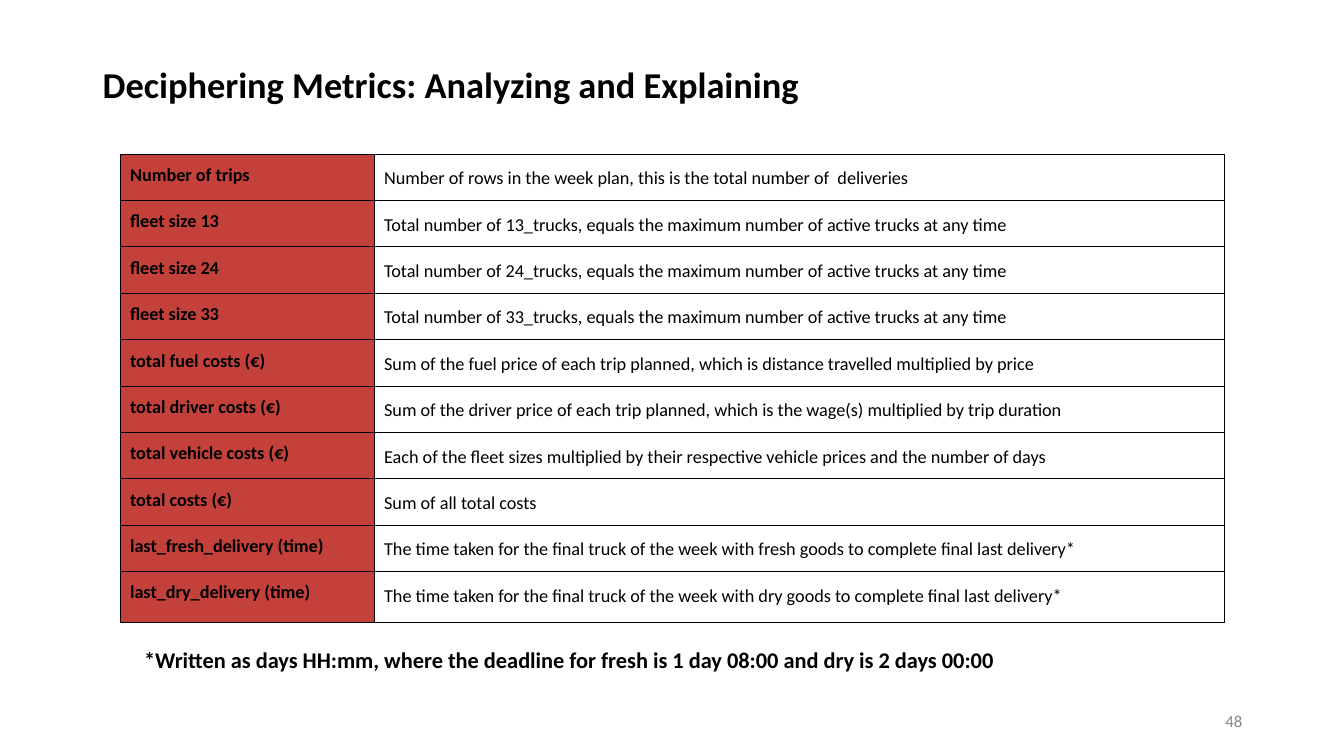
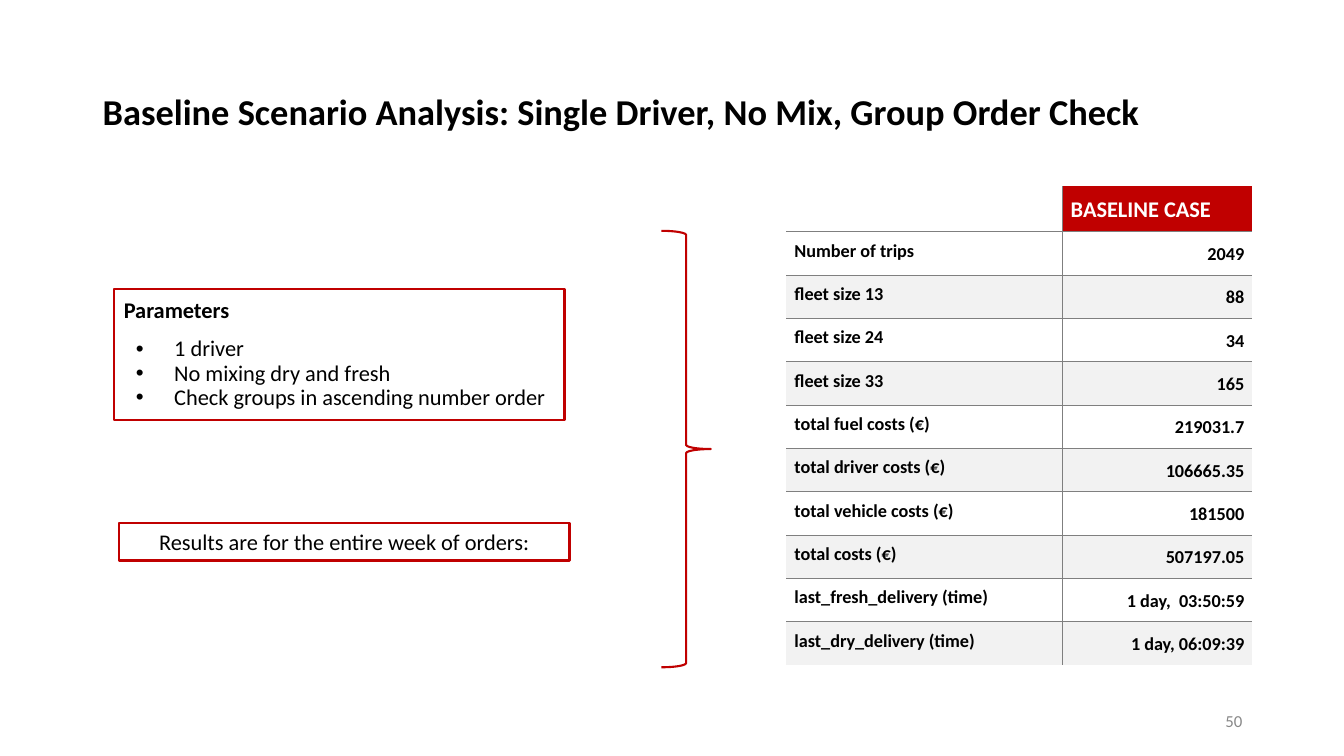
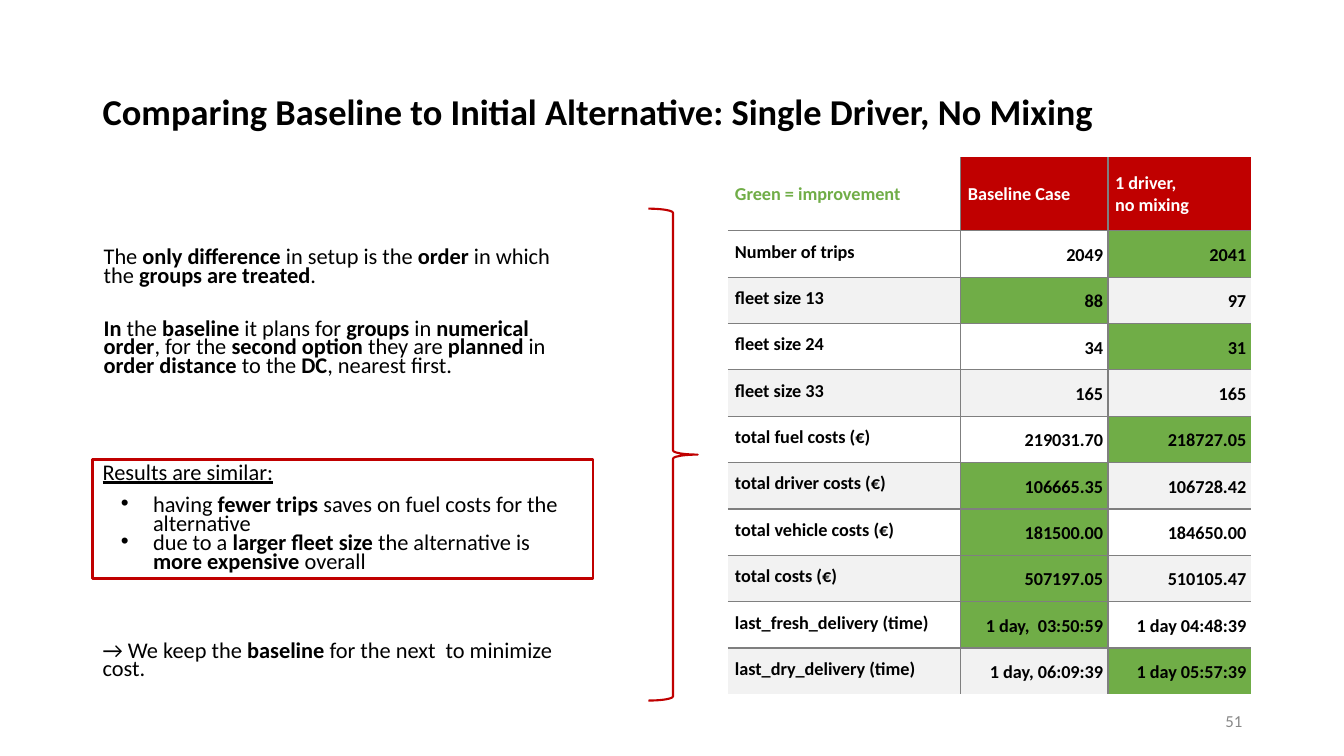
from dataclasses import dataclass
from lxml import etree
from pptx import Presentation
from pptx.dml.color import RGBColor
from pptx.enum.shapes import MSO_SHAPE
from pptx.enum.text import MSO_ANCHOR, PP_ALIGN
from pptx.oxml.ns import qn
from pptx.util import Pt

SCALE = 9144
FONT = "Calibri"
BLACK, WHITE, GRAY = "000000", "FFFFFF", "888888"
RED, BRICK, GREEN, BAND, RULE = "C00000", "C4413B", "70AD47", "F2F2F2", "7F7F7F"
TOP, MIDDLE, BOTTOM = MSO_ANCHOR.TOP, MSO_ANCHOR.MIDDLE, MSO_ANCHOR.BOTTOM
LEFT, CENTER, RIGHT = PP_ALIGN.LEFT, PP_ALIGN.CENTER, PP_ALIGN.RIGHT
RECT, BRACE = MSO_SHAPE.RECTANGLE, MSO_SHAPE.RIGHT_BRACE
NO_STYLE = "{2D5ABB26-0587-4C30-8999-92F81FD0307C}"

LABELS = [
    "Number of trips", "fleet size 13", "fleet size 24", "fleet size 33",
    "total fuel costs (€)", "total driver costs (€)", "total vehicle costs (€)",
    "total costs (€)", "last_fresh_delivery (time)", "last_dry_delivery (time)",
]
TRUCKS = "Total number of {}_trucks, equals the maximum number of active trucks at any time"
FINAL = "The time taken for the final truck of the week with {} goods to complete final last delivery*"
NOTES = [
    "Number of rows in the week plan, this is the total number of  deliveries",
    *[TRUCKS.format(size) for size in (13, 24, 33)],
    "Sum of the fuel price of each trip planned, which is distance travelled multiplied by price",
    "Sum of the driver price of each trip planned, which is the wage(s) multiplied by trip duration",
    "Each of the fleet sizes multiplied by their respective vehicle prices and the number of days",
    "Sum of all total costs",
    *[FINAL.format(goods) for goods in ("fresh", "dry")],
]
BASE = ["2049", "88", "34", "165", "219031.7", "106665.35", "181500",
        "507197.05", "1 day,  03:50:59", "1 day, 06:09:39"]
PAIRS = [
    ("2049", "2041", 1), ("88", "97", 0), ("34", "31", 1), ("165", "165", None),
    ("219031.70", "218727.05", 1), ("106665.35", "106728.42", 0),
    ("181500.00", "184650.00", 0), ("507197.05", "510105.47", 0),
    ("1 day,  03:50:59", "1 day 04:48:39", 0),
    ("1 day, 06:09:39", "1 day 05:57:39", 1),
]


@dataclass
class Para:
    text: str
    size: int = 16
    color: str = BLACK
    bold: bool = False
    under: bool = False
    align: int = LEFT
    space: float = 1.0
    before: int = 0
    hang: int = 0


@dataclass
class Cell:
    para: Para
    fill: str = ""
    anchor: int = TOP


def px(size):
    return size * SCALE


def rgb(code):
    return RGBColor.from_string(code)


def bullet(par, hang):
    props = par._p.get_or_add_pPr()
    props.set("marL", str(px(50)))
    props.set("indent", str(-px(hang)))
    tint = etree.SubElement(props, qn("a:buClr"))
    etree.SubElement(tint, qn("a:srgbClr")).set("val", BLACK)
    etree.SubElement(props, qn("a:buFont")).set("typeface", "Arial")
    etree.SubElement(props, qn("a:buChar")).set("char", "•")


def write(frame, paras):
    for i, para in enumerate(paras):
        par = frame.add_paragraph() if i else frame.paragraphs[0]
        par.alignment = para.align
        par.line_spacing = para.space
        par.space_before = Pt(para.before)
        if para.hang:
            bullet(par, para.hang)
        parts = para.text.split("|")
        par.text = parts[0]
        for part in parts[1:]:
            par.add_run().text = part
        skip = 0 if parts[0] else 1
        for n, run in enumerate(par.runs, skip):
            font = run.font
            font.name, font.size = FONT, Pt(para.size)
            font.bold = para.bold or n % 2 == 1
            font.underline = para.under
            font.color.rgb = rgb(para.color)


def fit(frame, paras, anchor):
    frame.word_wrap = True
    frame.vertical_anchor = anchor
    write(frame, paras)


def label(slide, at, paras, anchor=TOP):
    box = slide.shapes.add_textbox(*map(px, at))
    fit(box.text_frame, paras, anchor)


def outline(slide, kind, at, width):
    shape = slide.shapes.add_shape(kind, *map(px, at))
    shape.shadow.inherit = False
    shape.fill.background()
    shape.line.color.rgb = rgb(RED)
    shape.line.width = Pt(width)
    return shape


def panel(slide, at, paras):
    fit(outline(slide, RECT, at, 1.75).text_frame, paras, MIDDLE)


def brace(slide, at):
    outline(slide, BRACE, at, 1.5)


def edge(cell, sides, color, width):
    props = cell._tc.get_or_add_tcPr()
    for i, side in enumerate("LRTB"):
        line = etree.Element(qn("a:ln" + side))
        if side in sides:
            line.set("w", str(Pt(width)))
            fill = etree.SubElement(line, qn("a:solidFill"))
            etree.SubElement(fill, qn("a:srgbClr")).set("val", color)
        else:
            etree.SubElement(line, qn("a:noFill"))
        props.insert(i, line)


def grid(slide, spot, cols, rows, cells, inset, color=RULE, width=1, frame=False):
    size = (len(rows), len(cols))
    area = map(px, (*spot, sum(cols), sum(rows)))
    table = slide.shapes.add_table(*size, *area).table
    table.first_row = table.horz_banding = False
    table._tbl.tblPr.find(qn("a:tableStyleId")).text = NO_STYLE
    for col, wide in zip(table.columns, cols):
        col.width = px(wide)
    for row, high in zip(table.rows, rows):
        row.height = px(high)
    for r, line in enumerate(cells):
        for c, item in enumerate(line):
            cell = table.cell(r, c)
            if item.para.text:
                (cell.margin_left, cell.margin_top,
                 cell.margin_right, cell.margin_bottom) = map(px, inset)
                write(cell.text_frame, [item.para])
            cell.vertical_anchor = item.anchor
            if item.fill:
                cell.fill.solid()
                cell.fill.fore_color.rgb = rgb(item.fill)
            else:
                cell.fill.background()
            inner = {"L": c > 0, "R": c < size[1] - 1, "T": r > 0, "B": r < size[0] - 1}
            sides = [side for side, on in inner.items() if on or frame]
            edge(cell, sides, color, width)


def name(text, fill):
    return Cell(Para(text, 13, bold=True), fill)


def value(text, fill):
    return Cell(Para(text, 13, bold=True, align=RIGHT, space=1.15), fill)


def head(text, size, anchor, color=WHITE, fill=RED):
    return Cell(Para(text, size, color, True), fill, anchor)


def band(row):
    return BAND if row % 2 else ""


def page(deck, title, number, high=145):
    slide = deck.slides.add_slide(deck.slide_layouts[6])
    label(slide, (92, 40, 1150, high), [Para(title, 26, bold=True, space=0.9)], MIDDLE)
    label(slide, (942, 695, 300, 40), [Para(number, 12, GRAY, align=RIGHT)], MIDDLE)
    return slide


def metrics(deck):
    slide = page(deck, "Deciphering Metrics: Analyzing and Explaining", "48", 92)
    cells = [[name(key, BRICK), Cell(Para(note, 13, space=1.15))]
             for key, note in zip(LABELS, NOTES)]
    grid(slide, (119, 153), (252, 843), [46] * 9 + [51], cells, [10] * 4, BLACK, 0.75, True)
    note = "*Written as days HH:mm, where the deadline for fresh is 1 day 08:00 and dry is 2 days 00:00"
    label(slide, (133, 636, 1081, 42), [Para(note, bold=True)])


def baseline(deck):
    slide = page(deck, "Baseline Scenario Analysis: Single Driver, No Mix, Group Order Check", "50")
    cells = [[Cell(Para("")), head("BASELINE CASE", 16, BOTTOM)]]
    for i, (key, base) in enumerate(zip(LABELS, BASE)):
        cells.append([name(key, band(i)), value(base, band(i))])
    grid(slide, (780, 185), (274, 188), [45] + [43] * 10, cells, [8] * 4)
    panel(slide, (118, 519, 447, 37),
          [Para("Results are for the entire week of orders:", align=CENTER)])
    brace(slide, (656, 229, 49, 433))
    panel(slide, (113, 287, 447, 130), [
        Para("Parameters", bold=True, space=0.9),
        Para("1 driver", space=0.9, before=10, hang=38),
        Para("No mixing dry and fresh", space=0.9, hang=38),
        Para("Check groups in ascending number order", space=0.9, hang=38),
    ])


def compare(deck):
    slide = page(deck, "Comparing Baseline to Initial Alternative: Single Driver, No Mixing", "51")
    label(slide, (93, 243, 496, 174), [
        Para("The |only difference |in setup is the |order| in which the |groups are treated|.",
             space=0.7),
        Para("|In| the |baseline| it plans for |groups| in |numerical order|, for the "
             "|second option |they are |planned| in |order distance |to the |DC|, nearest first.",
             space=0.7, before=24),
    ])
    cells = [[head("Green = improvement", 13, MIDDLE, GREEN, ""),
              head("Baseline Case", 13, MIDDLE),
              head("1 driver,\vno mixing", 13, MIDDLE)]]
    for i, (key, (*pair, best)) in enumerate(zip(LABELS, PAIRS)):
        cells.append([name(key, band(i))] + [
            value(text, GREEN if n == best else band(i)) for n, text in enumerate(pair)])
    grid(slide, (722, 156), (231, 146, 142), [73] + [46] * 10, cells, (7, 10, 5, 10))
    panel(slide, (92, 456, 496, 118), [
        Para("Results are similar:", under=True, space=0.7),
        Para("having |fewer trips |saves on fuel costs for the alternative",
             space=0.7, before=10, hang=32),
        Para("due to a |larger fleet size |the alternative is |more expensive |overall",
             space=0.7, hang=32),
    ])
    label(slide, (92, 633, 492, 48),
          [Para("→ We keep the |baseline |for the next  to minimize cost.", space=0.7)])
    brace(slide, (643, 207, 49, 488))


def main():
    deck = Presentation()
    deck.slide_width, deck.slide_height = px(1333), px(750)
    metrics(deck)
    baseline(deck)
    compare(deck)
    deck.save("out.pptx")


if __name__ == "__main__":
    main()
